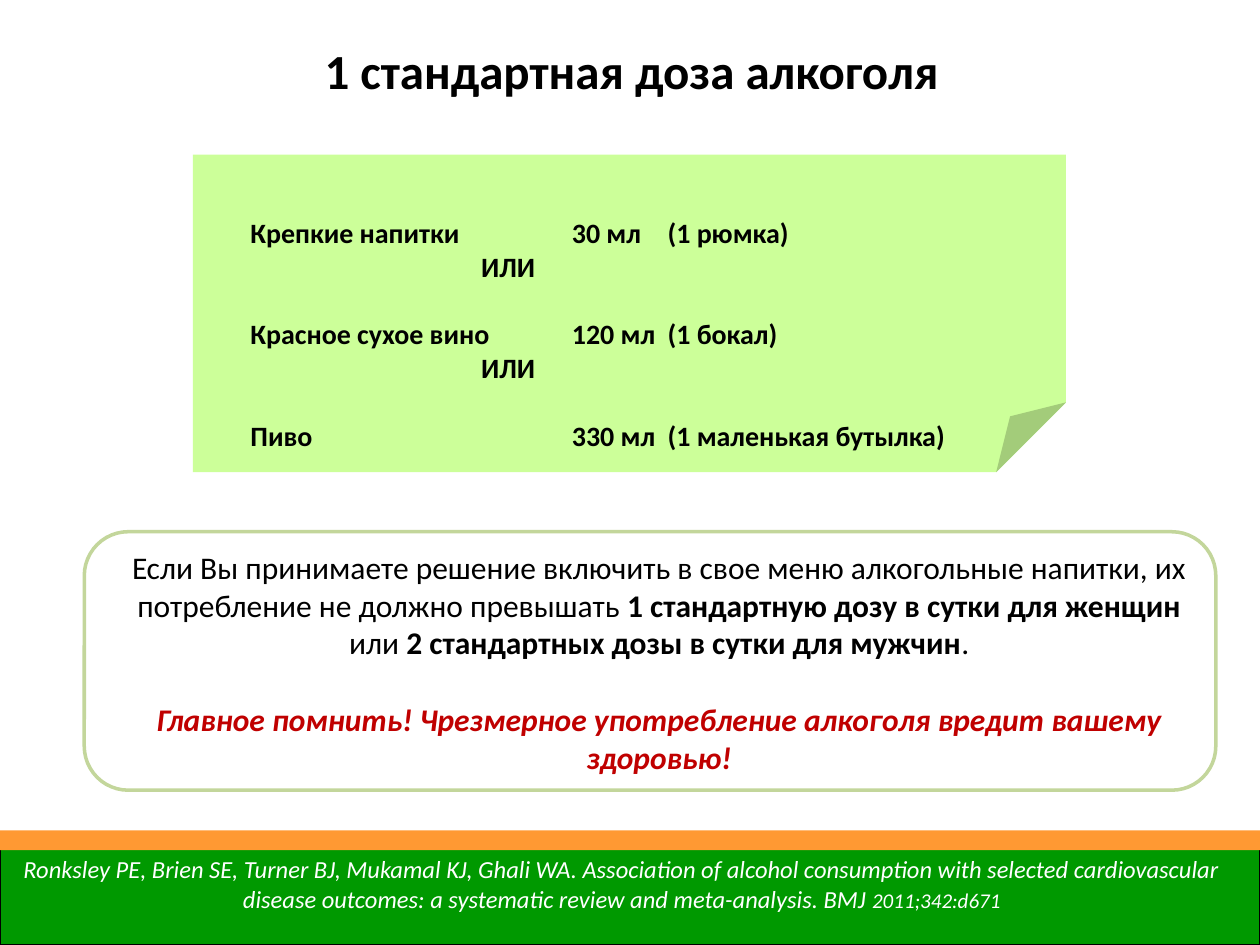
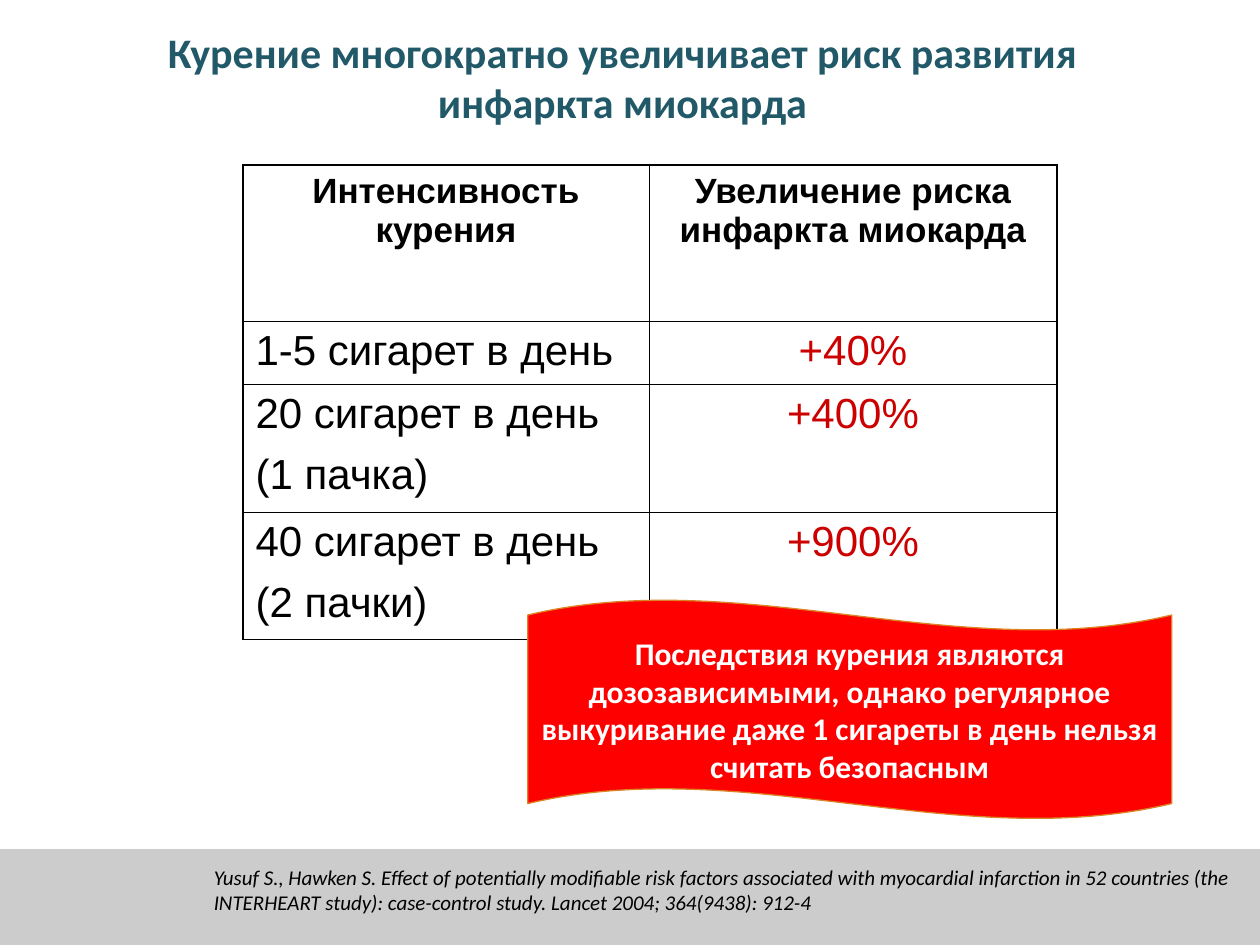
from lxml import etree
from pptx import Presentation
from pptx.dml.color import RGBColor
from pptx.enum.shapes import MSO_SHAPE
from pptx.enum.text import MSO_ANCHOR, PP_ALIGN
from pptx.oxml.ns import qn
from pptx.util import Cm, Pt

LEFT, CENTER = PP_ALIGN.LEFT, PP_ALIGN.CENTER
TOP, MIDDLE = MSO_ANCHOR.TOP, MSO_ANCHOR.MIDDLE
RECTANGLE, ROUNDED = MSO_SHAPE.RECTANGLE, MSO_SHAPE.ROUNDED_RECTANGLE
FOLDED, WAVE = MSO_SHAPE.FOLDED_CORNER, MSO_SHAPE.WAVE

BLACK = RGBColor(0x00, 0x00, 0x00)
WHITE = RGBColor(0xFF, 0xFF, 0xFF)
GREEN = RGBColor(0x00, 0x99, 0x00)
LIME = RGBColor(0xCC, 0xFF, 0x99)
OLIVE = RGBColor(0xC3, 0xD6, 0x9B)
ORANGE = RGBColor(0xFF, 0x99, 0x33)
OCHRE = RGBColor(0xDA, 0x84, 0x26)
GREY = RGBColor(0xCC, 0xCC, 0xCC)
TEAL = RGBColor(0x21, 0x59, 0x68)
RED = RGBColor(0xFF, 0x00, 0x00)
WARNING_RED = RGBColor(0xC0, 0x00, 0x00)
RISK_RED = RGBColor(0xCC, 0x00, 0x00)

PAGE_WIDTH, PAGE_HEIGHT = 25.4, 19.05
FOOTER_TOP = 17.12
OUTER_BORDER, INNER_BORDER = 1.08, 0.45

DRINKS = [
    ("Крепкие напитки", "30 мл", "(1 рюмка)"),
    ("Красное сухое вино", "120 мл", "(1 бокал)"),
    ("Пиво", "330 мл", "(1 маленькая бутылка)"),
]
DRINK_TABS, OR_TABS = (6.48, 8.41), (4.65,)

RISK_HEADER = ("Интенсивность курения", "Увеличение риска инфаркта миокарда")
RISKS = [
    (("1-5 сигарет в день",), "+40%"),
    (("20 сигарет в день", "(1 пачка)"), "+400%"),
    (("40 сигарет в день", "(2 пачки)"), "+900%"),
]
RISK_COLUMNS = (8.18, 8.23)
RISK_ROWS = (3.15, 1.27, 2.57, 2.57)


# Text
def write(frame, *spans, align=LEFT, before=0, tabs=(), font="Calibri", size=18,
          color=BLACK, bold=False, italic=False):
    """Add a paragraph; a span is a string or (string, changed format)."""
    first = frame.paragraphs[0]
    para = frame.add_paragraph() if first.runs else first
    para.alignment = align
    if before:
        para.space_before = Pt(before)
    if tabs:
        tab_list = etree.SubElement(para._p.get_or_add_pPr(), qn("a:tabLst"))
        for position in tabs:
            etree.SubElement(tab_list, qn("a:tab"), pos=str(Cm(position)), algn="l")
    for item in spans:
        text, change = (item, {}) if isinstance(item, str) else item
        look = dict(size=size, color=color, bold=bold, italic=italic) | change
        for number, line in enumerate(text.split("\n")):
            if number:
                para.add_line_break()
            span = para.add_run()
            span.text = line
            span.font.name = font
            span.font.size = Pt(look["size"])
            span.font.color.rgb = look["color"]
            span.font.bold = look["bold"]
            span.font.italic = look["italic"]


def add_text_frame(page, left, top, width, height, anchor=TOP):
    box = page.shapes.add_textbox(Cm(left), Cm(top), Cm(width), Cm(height))
    box.text_frame.word_wrap = True
    box.text_frame.vertical_anchor = anchor
    return box.text_frame


# Shapes
def add_panel(page, kind, left, top, width, height, fill, line=None, weight=0.75):
    panel = page.shapes.add_shape(kind, Cm(left), Cm(top), Cm(width), Cm(height))
    panel.shadow.inherit = False
    panel.fill.solid()
    panel.fill.fore_color.rgb = fill
    if line is None:
        panel.line.fill.background()
    else:
        panel.line.color.rgb = line
        panel.line.width = Pt(weight)
    return panel


def set_fold(panel, share):
    """Set the folded corner's size, which has no public adjustment."""
    guides = panel._element.spPr.find(qn("a:prstGeom")).get_or_add_avLst()
    for guide in list(guides):
        guides.remove(guide)
    etree.SubElement(guides, qn("a:gd"), name="adj", fmla=f"val {round(share * 100000)}")


def add_footer_band(page, fill, line=None):
    add_panel(page, RECTANGLE, 0, FOOTER_TOP, PAGE_WIDTH, PAGE_HEIGHT - FOOTER_TOP,
              fill, line)


def add_title(page, text, left, top, width, height, anchor=TOP, **look):
    frame = add_text_frame(page, left, top, width, height, anchor)
    write(frame, text, align=CENTER, bold=True, **look)


# Table
def set_borders(cell, weights):
    properties = cell._tc.get_or_add_tcPr()
    for side, weight in zip("LRTB", weights):
        line = etree.SubElement(properties, qn(f"a:ln{side}"), w=str(Pt(weight)))
        fill = etree.SubElement(line, qn("a:solidFill"))
        etree.SubElement(fill, qn("a:srgbClr"), val=str(BLACK))


def add_risk_table(page, left, top):
    rows, columns = len(RISK_ROWS), len(RISK_COLUMNS)
    table = page.shapes.add_table(rows, columns, Cm(left), Cm(top),
                                  Cm(sum(RISK_COLUMNS)), Cm(sum(RISK_ROWS))).table
    table.first_row = table.horz_banding = False
    for column, width in zip(table.columns, RISK_COLUMNS):
        column.width = Cm(width)
    for row, height in zip(table.rows, RISK_ROWS):
        row.height = Cm(height)

    for column, heading in enumerate(RISK_HEADER):
        write(table.cell(0, column).text_frame, heading, align=CENTER,
              font="Arial", size=20, bold=True)
    for row, (intensity, risk) in enumerate(RISKS, start=1):
        for number, line in enumerate(intensity):
            write(table.cell(row, 0).text_frame, line, before=8 if number else 0,
                  font="Arial", size=24)
        write(table.cell(row, 1).text_frame, risk, align=CENTER,
              font="Arial", size=24, color=RISK_RED)

    for row in range(rows):
        for column in range(columns):
            cell = table.cell(row, column)
            at_edge = (column == 0, column == columns - 1, row == 0, row == rows - 1)
            set_borders(cell, [OUTER_BORDER if edge else INNER_BORDER for edge in at_edge])
            cell.fill.background()


# Slides
def build_alcohol_page(page):
    # Daily limit
    limit_panel = add_panel(page, ROUNDED, 1.7, 10.72, 22.81, 5.21, WHITE, OLIVE, 2)
    limit_panel.adjustments[0] = 0.17
    limit = add_text_frame(page, 2.29, 10.92, 22, 4.83)
    strong = {"bold": True}
    write(limit,
          "Если Вы принимаете решение включить в свое меню алкогольные напитки, "
          "их потребление не должно превышать ",
          ("1 стандартную дозу в сутки для женщин ", strong), "или ",
          ("2 стандартных дозы в сутки для мужчин", strong), ".", align=CENTER)
    write(limit, "Главное помнить! Чрезмерное употребление алкоголя вредит вашему здоровью!",
          align=CENTER, before=22, color=WARNING_RED, bold=True, italic=True)

    # Note with the doses
    note = add_panel(page, FOLDED, 3.89, 3.12, 17.6, 6.4, LIME)
    set_fold(note, 0.22)
    doses = add_text_frame(page, 4.8, 4.22, 15.85, 5.66)
    for number, drink in enumerate(DRINKS):
        if number:
            write(doses, "\tИЛИ", tabs=OR_TABS, size=16, bold=True)
        write(doses, "\t".join(drink), tabs=DRINK_TABS, size=16, bold=True,
              before=19.5 if number else 0)

    add_title(page, "1 стандартная доза алкоголя", 2.29, 0.69, 20.88, 2.64, size=28)

    # Footer
    add_footer_band(page, GREEN, BLACK)
    add_panel(page, RECTANGLE, 0, 16.74, PAGE_WIDTH, 0.4, ORANGE)
    reference = add_text_frame(page, 0.18, 17.09, 24.71, 1.45, MIDDLE)
    write(reference,
          "Ronksley PE, Brien SE, Turner BJ, Mukamal KJ, Ghali WA. Association of alcohol "
          "consumption with selected cardiovascular disease outcomes: a systematic review "
          "and meta-analysis. BMJ ",
          ("2011;342:d671", {"size": 12}),
          align=CENTER, size=14, color=WHITE, italic=True)


def build_smoking_page(page):
    add_title(page, "Курение многократно увеличивает риск развития\nинфаркта миокарда",
              0.13, 0.58, 24.84, 1.93, MIDDLE, size=24, color=TEAL)
    add_risk_table(page, 4.9, 3.33)

    # Footer
    add_footer_band(page, GREY)
    reference = add_text_frame(page, 4.06, 17.3, 21.01, 1.27)
    write(reference,
          "Yusuf S., Hawken S. Effect of potentially modifiable risk factors associated with "
          "myocardial infarction in 52 countries (the INTERHEART study): case-control study. "
          "Lancet 2004; 364(9438): 912-4", size=12, italic=True)

    # Warning over the table corner
    warning = add_panel(page, WAVE, 10.64, 12.09, 12.98, 4.42, RED, OCHRE)
    warning.adjustments[0] = 0.07
    warning.text_frame.word_wrap = True
    warning.text_frame.vertical_anchor = MIDDLE
    write(warning.text_frame,
          "Последствия курения являются дозозависимыми, однако регулярное "
          "выкуривание даже 1 сигареты в день нельзя считать безопасным",
          align=CENTER, color=WHITE, bold=True)


def main():
    deck = Presentation()
    deck.slide_width, deck.slide_height = Cm(PAGE_WIDTH), Cm(PAGE_HEIGHT)
    blank = deck.slide_layouts[6]
    for build in (build_alcohol_page, build_smoking_page):
        build(deck.slides.add_slide(blank))
    deck.save("out.pptx")


if __name__ == "__main__":
    main()
